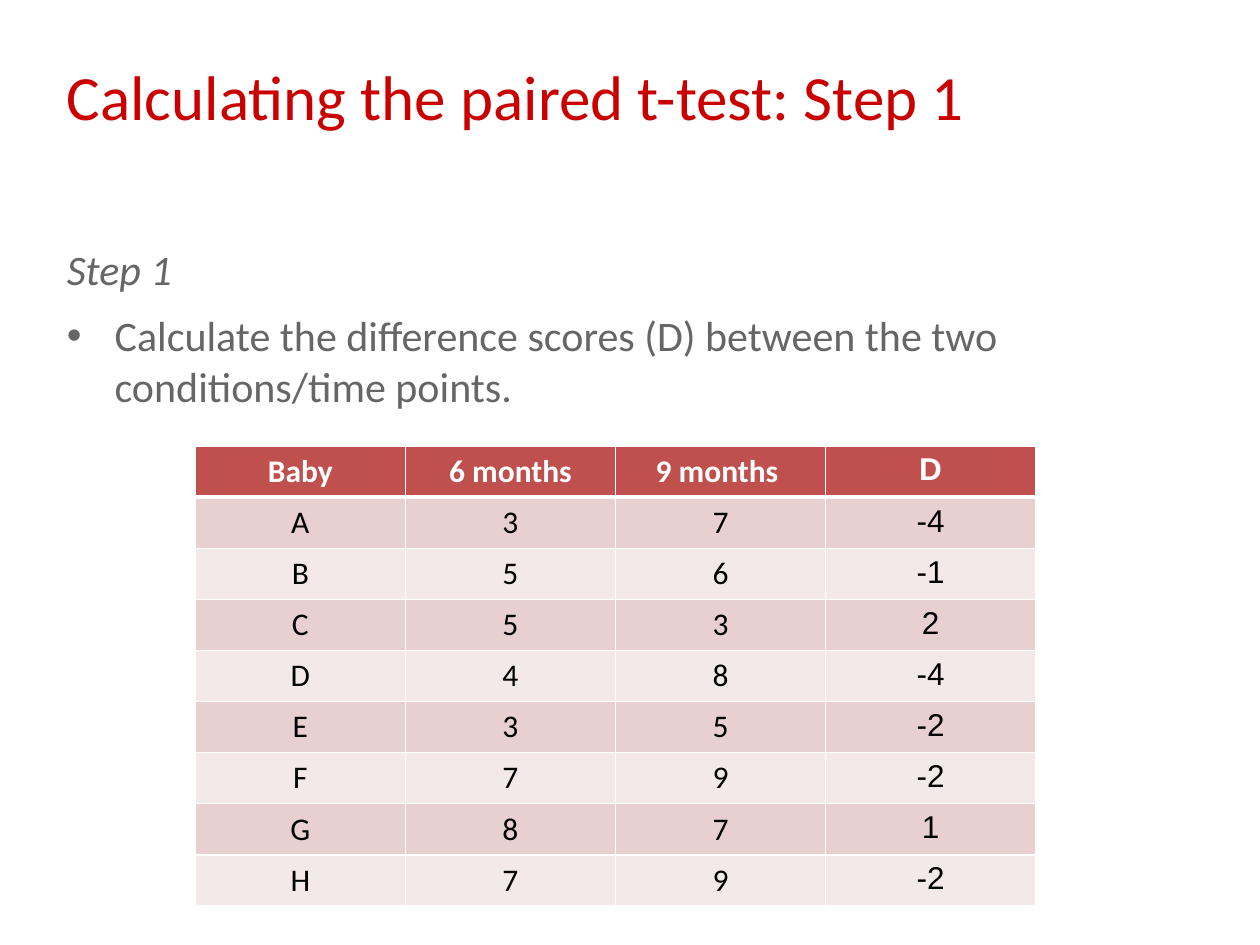
from lxml import etree
from pptx import Presentation
from pptx.dml.color import RGBColor
from pptx.enum import text
from pptx.oxml import ns
from pptx.util import Inches, Pt

COLORS = {
    "title": "CA0000",
    "body": "666666",
    "header": "C0504D",
    "odd": "E8D0D0",
    "even": "F4E9E9",
    "white": "FFFFFF",
    "black": "000000",
}
SCORES = [
    ("Baby", "6 months", "9 months ", "D"),
    ("A", "3", "7", "-4"),
    ("B", "5", "6", "-1"),
    ("C", "5", "3", "2"),
    ("D", "4", "8", "-4"),
    ("E", "3", "5", "-2"),
    ("F", "7", "9", "-2"),
    ("G", "8", "7", "1"),
    ("H", "7", "9", "-2"),
]


def write(frame, words, size=24, color="body", font="Calibri", bold=False,
          italic=False, align=text.PP_ALIGN.LEFT, spacing=None):
    paragraph = frame.paragraphs[0]
    paragraph.alignment = align
    paragraph.space_before = Pt(0)
    if spacing:
        paragraph.line_spacing = Pt(spacing)
    run = paragraph.add_run()
    run.text = words
    run.font.size = Pt(size)
    run.font.name = font
    run.font.bold = bold
    run.font.italic = italic
    run.font.color.rgb = RGBColor.from_string(COLORS[color])


def place(holder, left, top, width, height, anchor=text.MSO_ANCHOR.TOP):
    holder.left, holder.top = Inches(left), Inches(top)
    holder.width, holder.height = Inches(width), Inches(height)
    frame = holder.text_frame
    frame.word_wrap = True
    frame.auto_size = text.MSO_AUTO_SIZE.NONE
    frame.vertical_anchor = anchor
    return frame


def set_bullet(frame, indent=0, char=None):
    properties = frame.paragraphs[0]._p.get_or_add_pPr()
    properties.set("marL", str(Inches(indent)))
    properties.set("indent", str(-Inches(indent)))
    if char:
        etree.SubElement(properties, ns.qn("a:buChar"), char=char)
    else:
        etree.SubElement(properties, ns.qn("a:buNone"))


def set_borders(cell, top, bottom):
    properties = cell._tc.get_or_add_tcPr()
    for side, width in (("L", 1), ("R", 1), ("T", top), ("B", bottom)):
        line = etree.SubElement(properties, ns.qn(f"a:ln{side}"), w=str(Pt(width)))
        fill = etree.SubElement(line, ns.qn("a:solidFill"))
        etree.SubElement(fill, ns.qn("a:srgbClr"), val=COLORS["white"])


def add_scores(slide):
    table = slide.shapes.add_table(
        len(SCORES), len(SCORES[0]),
        Inches(1.55), Inches(3.54), Inches(6.67), Inches(3.65)).table
    for row, values in enumerate(SCORES):
        is_header = row == 0
        band = "header" if is_header else "odd" if row % 2 else "even"
        for column, value in enumerate(values):
            cell = table.cell(row, column)
            set_borders(cell, 3 if row == 1 else 1, 3 if is_header else 1)
            cell.fill.solid()
            cell.fill.fore_color.rgb = RGBColor.from_string(COLORS[band])
            write(cell.text_frame, value, size=18, bold=is_header,
                  color="white" if is_header else "black",
                  font="Arial" if column == 3 else "Calibri",
                  align=text.PP_ALIGN.CENTER)


def main():
    deck = Presentation()
    deck.slide_width, deck.slide_height = Inches(10), Inches(7.5)
    slide = deck.slides.add_slide(deck.slide_layouts[3])
    title, instruction, step = list(slide.placeholders)[:3]

    heading = place(title, 0.43, 0.52, 7.4, 1.26)
    write(heading, "Calculating the paired t-test: Step 1",
          size=36, color="title", spacing=35)

    task = place(instruction, 0.43, 2.41, 9.07, 4.29)
    set_bullet(task, 0.38, "•")
    write(task, "Calculate the difference scores (D) between the two "
                "conditions/time points.")

    label = place(step, 0.43, 1.86, 9.06, 0.52, text.MSO_ANCHOR.BOTTOM)
    set_bullet(label)
    write(label, "Step 1", italic=True)

    add_scores(slide)
    deck.save("out.pptx")


if __name__ == "__main__":
    main()
